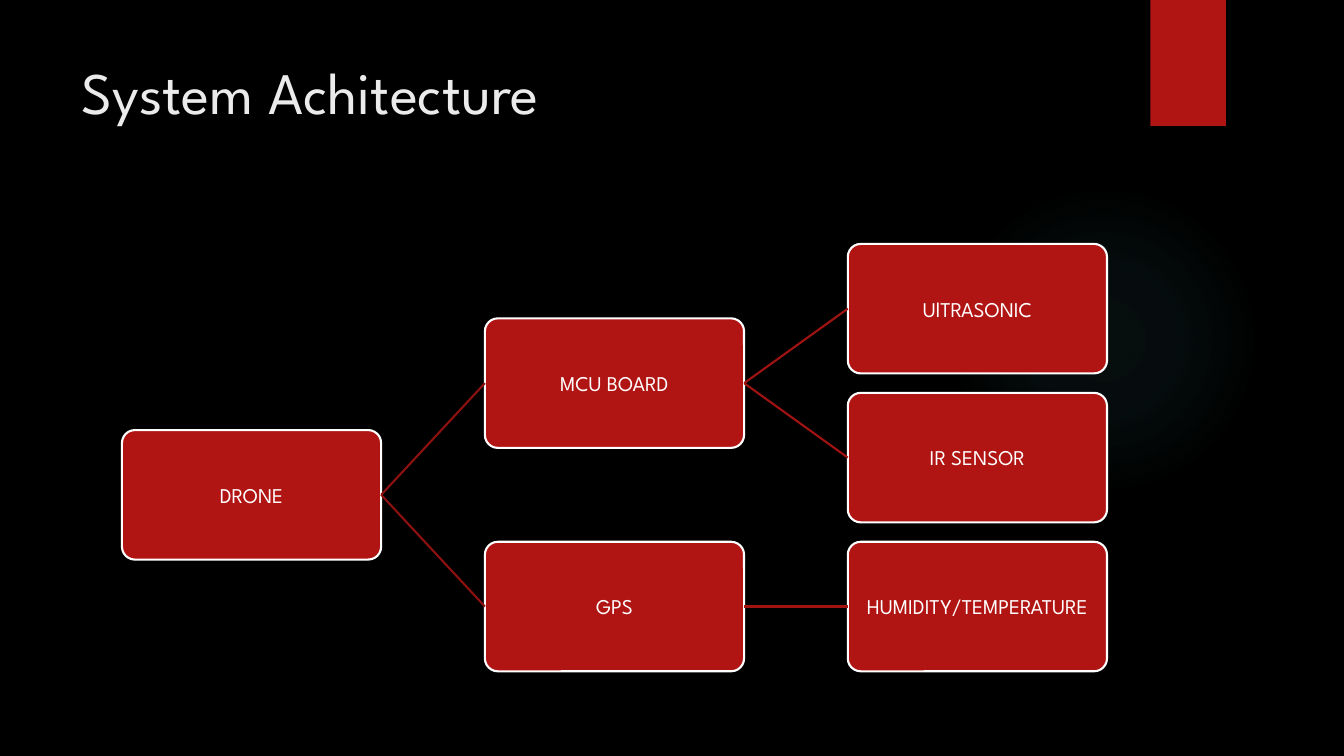
from lxml import etree
from pptx import Presentation
from pptx.dml.color import RGBColor
from pptx.enum.shapes import MSO_CONNECTOR, MSO_SHAPE
from pptx.enum.text import MSO_ANCHOR, PP_ALIGN
from pptx.oxml import parse_xml
from pptx.oxml.ns import nsdecls, qn
from pptx.util import Inches, Pt

ROUNDED, RECTANGLE, OVAL = MSO_SHAPE.ROUNDED_RECTANGLE, MSO_SHAPE.RECTANGLE, MSO_SHAPE.OVAL
STRAIGHT = MSO_CONNECTOR.STRAIGHT
TOP, MIDDLE = MSO_ANCHOR.TOP, MSO_ANCHOR.MIDDLE
LEFT, CENTER = PP_ALIGN.LEFT, PP_ALIGN.CENTER

FONT = "League Spartan"
BLACK, WHITE, TITLE_GREY = "000000", "FFFFFF", "EBEBEB"
RED, GLOW_TEAL = "B01513", "50B9C1"
LINK_COLOURS = ["8D110F", "A01311"]  # by depth of the parent
GLOW_STOPS = [(0, 7), (36, 6), (69, 0)]  # position and opacity, percent

COLUMN_PITCH, ROW_PITCH = 1.4, 1.15  # in box widths and heights
COLUMNS, ROWS = 3, 3
LEFT_SITE, RIGHT_SITE = 1, 3

SYSTEM = ("DRONE", [
    ("MCU BOARD", [("UlTRASONIC", []), ("IR SENSOR", [])]),
    ("GPS", [("HUMIDITY/TEMPERATURE", [])]),
])


def colour(hex_code):
    """Turn a hex string into a colour."""
    return RGBColor.from_string(hex_code)


def style_text(frame, text, size, hex_code, align, anchor):
    """Write one paragraph of text and format it."""
    frame.text = text
    frame.word_wrap = True
    frame.vertical_anchor = anchor
    paragraph = frame.paragraphs[0]
    paragraph.alignment = align
    font = paragraph.font
    font.name, font.size, font.bold = FONT, Pt(size), False
    font.color.rgb = colour(hex_code)


def add_block(slide, preset, box, fill):
    """Add a flat filled shape without outline in a box given in inches."""
    block = slide.shapes.add_shape(preset, *map(Inches, box))
    block.shadow.inherit = False
    block.fill.solid()
    block.fill.fore_color.rgb = colour(fill)
    block.line.fill.background()
    return block


def add_backdrop(slide, glow_box, ribbon_box):
    """Paint the background, the soft glow and the red ribbon."""
    slide.background.fill.solid()
    slide.background.fill.fore_color.rgb = colour(BLACK)
    glow = add_block(slide, OVAL, glow_box, GLOW_TEAL)
    stops = "".join(
        f'<a:gs pos="{position * 1000}"><a:srgbClr val="{GLOW_TEAL}">'
        f'<a:alpha val="{opacity * 1000}"/></a:srgbClr></a:gs>'
        for position, opacity in GLOW_STOPS)
    gradient = parse_xml(
        f'<a:gradFill {nsdecls("a")}><a:gsLst>{stops}</a:gsLst><a:path path="circle">'
        '<a:fillToRect l="50000" t="50000" r="50000" b="50000"/></a:path></a:gradFill>')
    properties = glow.element.spPr
    properties.replace(properties.find(qn("a:solidFill")), gradient)
    add_block(slide, RECTANGLE, ribbon_box, RED)


def add_title(slide, box, text):
    """Place the title placeholder in its box."""
    title = slide.shapes.title
    title.left, title.top, title.width, title.height = map(Inches, box)
    style_text(title.text_frame, text, 42, TITLE_GREY, LEFT, TOP)


def add_link(slide, parent, child, hex_code):
    """Join the right side of a parent to the left side of a child."""
    link = slide.shapes.add_connector(STRAIGHT, 0, 0, 0, 0)
    link.begin_connect(parent, RIGHT_SITE)
    link.end_connect(child, LEFT_SITE)
    link.line.color.rgb = colour(hex_code)
    link.line.width = Pt(1.5)
    etree.SubElement(link.element.spPr, qn("a:effectLst"))


def add_hierarchy(slide, box, root):
    """Draw a left-to-right tree; each parent is centred on its children."""
    left, top, width, height = box
    node_width = width / (1 + (COLUMNS - 1) * COLUMN_PITCH)
    node_height = height / (1 + (ROWS - 1) * ROW_PITCH)
    leaf_rows = iter(range(ROWS))

    def add_branch(branch, depth):
        """Draw a branch and return its node and row."""
        label, children = branch
        placed = [add_branch(child, depth + 1) for child in children]
        rows = [row for _, row in placed]
        row = sum(rows) / len(rows) if rows else next(leaf_rows)
        node = add_block(slide, ROUNDED, (
            left + depth * COLUMN_PITCH * node_width,
            top + row * ROW_PITCH * node_height, node_width, node_height), RED)
        node.adjustments[0] = 0.1
        node.line.color.rgb = colour(WHITE)
        node.line.width = Pt(1.5)
        frame = node.text_frame
        frame.margin_left = frame.margin_right = Inches(0.05)
        style_text(frame, label, 15, WHITE, CENTER, MIDDLE)
        for child, _ in placed:
            add_link(slide, node, child, LINK_COLOURS[depth])
        return node, row

    add_branch(root, 0)


def main():
    """Build the slide and save it."""
    deck = Presentation()
    deck.slide_width, deck.slide_height = Inches(13.33), Inches(7.5)
    slide = deck.slides.add_slide(deck.slide_layouts[5])
    add_backdrop(slide, (9.41, 1.83, 3.08, 3.08), (11.41, 0, 0.75, 1.25))
    add_title(slide, (0.71, 0.5, 10.29, 1.53), "System Achitecture")
    add_hierarchy(slide, (1.21, 2.42, 9.77, 4.24), SYSTEM)
    deck.save("out.pptx")


main()
